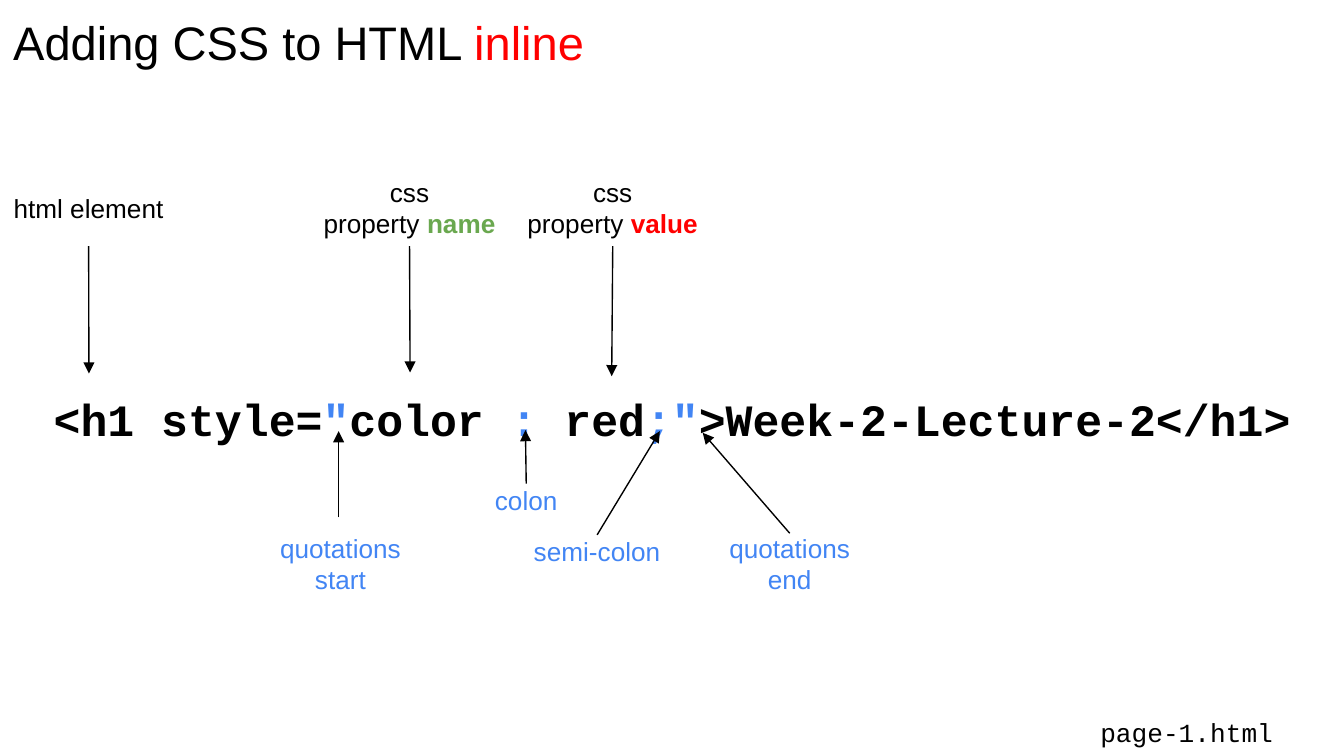
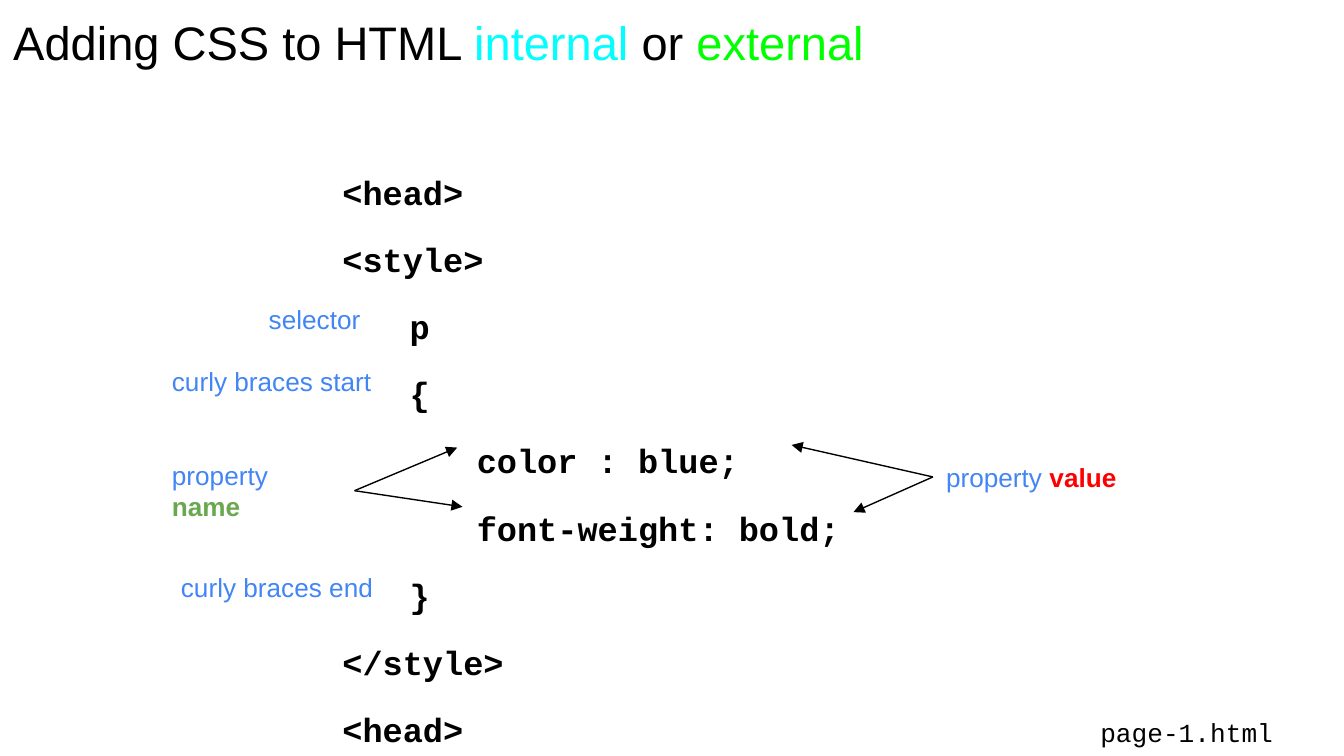
import pptx
import pptx.dml.color
import pptx.enum.shapes
import pptx.enum.text
import pptx.oxml
import pptx.oxml.ns
import pptx.util
from pptx.util import Cm, Pt

ANCHOR = pptx.enum.text.MSO_ANCHOR
ALIGN = pptx.enum.text.PP_ALIGN
TOP, LEFT, BOTTOM, RIGHT = range(4)  # connection sites

# Shared look
BLACK, RED, BLUE, GREEN = "000000", "FF0000", "4285F4", "6AA84F"
CYAN, LIME = "00FFFF", "00FF00"
TITLE = {"name": "Arial", "size": Pt(25.2), "bold": False}
LABEL = {"name": "Arial", "size": Pt(14), "bold": False}
FILE_NAME = {"name": "Courier New", "size": Pt(14), "bold": False}
INLINE_CODE = {"name": "Courier New", "size": Pt(24), "bold": True}
BLOCK_CODE = {"name": "Courier New", "size": Pt(18), "bold": True}
INSET = 0.25

# Regions in centimetres: left, top, width, height
TITLE_BOX = (0, 0, 25.4, 1.6)
CONTENT_BOX = (0, 1.6, 25.4, 12.7)
CODE_BOX = (6.22, 1.6, 12.7, 12.7)
FOOTER_BOX = (19.46, 13.39, 5.94, 0.89)


def colour(value):
    return pptx.dml.color.RGBColor.from_string(value)


def apply(target, values):
    for name, value in values.items():
        setattr(target, name, value)


def place(shape, box):
    apply(shape, dict(zip(("left", "top", "width", "height"), map(Cm, box))))


def within(region, box):
    """Turn a box or point relative to a region into slide lengths."""
    return (region[0] + box[0], region[1] + box[1], *box[2:])


def set_frame(frame, anchor, top_inset=INSET):
    apply(frame, {
        "word_wrap": True,
        "auto_size": pptx.enum.text.MSO_AUTO_SIZE.NONE,
        "vertical_anchor": anchor,
        "margin_left": Cm(INSET), "margin_right": Cm(INSET),
        "margin_top": Cm(top_inset), "margin_bottom": Cm(INSET),
    })


def write(frame, lines, style, align=ALIGN.LEFT):
    """Write lines made of (text, colour[, font changes]) spans."""
    for index, spans in enumerate(lines):
        para = frame.add_paragraph() if index else frame.paragraphs[0]
        para.alignment = align
        for text, hue, *changes in spans:
            span = para.add_run()
            span.text = text
            apply(span.font, {**style, **(changes[0] if changes else {})})
            span.font.color.rgb = colour(hue)


def plain_para(para, indent=0):
    """Remove the bullet and set the left indent in centimetres."""
    props = para._p.get_or_add_pPr()
    props.set("marL", str(Cm(indent)))
    props.set("indent", "0")
    pptx.oxml.ns.qn("a:buNone")
    props.append(pptx.oxml.parse_xml(
        f'<a:buNone {pptx.oxml.ns.nsdecls("a")}/>'))


def add_label(page, region, box, lines, align=ALIGN.CENTER, style=LABEL):
    label = page.shapes.add_textbox(*map(Cm, within(region, box)))
    set_frame(label.text_frame, ANCHOR.MIDDLE)
    write(label.text_frame, lines, style, align)
    return label


def add_arrow(page, region, end, start=(0, 0), source=None, site=BOTTOM):
    """Draw an arrow from a point, or from the side of a label."""
    points = [*within(region, start), *within(region, end)]
    arrow = page.shapes.add_connector(
        pptx.enum.shapes.MSO_CONNECTOR.STRAIGHT, *map(Cm, points))
    if source is not None:
        arrow.begin_connect(source, site)
    arrow.line.width = Pt(0.75)
    arrow.line.color.rgb = colour(BLACK)
    names = pptx.oxml.ns.nsdecls("a")
    arrow.line._get_or_add_ln().append(
        pptx.oxml.parse_xml(f'<a:tailEnd {names} type="triangle"/>'))
    arrow._element.spPr.append(
        pptx.oxml.parse_xml(f"<a:effectLst {names}/>"))


def add_page(deck, title):
    """Start a slide with its title and file name."""
    page = deck.slides.add_slide(deck.slide_layouts[1])
    place(page.shapes.title, TITLE_BOX)
    set_frame(page.shapes.title.text_frame, ANCHOR.TOP)
    write(page.shapes.title.text_frame, [title], TITLE)
    add_label(page, FOOTER_BOX, (0, 0, *FOOTER_BOX[2:]),
              [[("page-1.html", BLACK)]], style=FILE_NAME)
    return page


def add_code(page, box, lines, style, top_inset, spacing, align=ALIGN.LEFT,
             indents=(0,), gap=0):
    body = page.placeholders[1]
    place(body, box)
    set_frame(body.text_frame, ANCHOR.TOP, top_inset)
    write(body.text_frame, lines, style, align)
    for index, para in enumerate(body.text_frame.paragraphs):
        plain_para(para, indents[index])
        apply(para, {"line_spacing": spacing,
                     "space_before": Pt(gap if index else 0)})


def add_inline_page(deck, region):
    page = add_page(deck, [("Adding CSS to HTML ", BLACK), ("inline", RED)])
    code = [("<h1 style=", BLACK), ('"', BLUE), ("color ", BLACK),
            (":", BLUE), (" red", BLACK), (';"', BLUE),
            (">Week-2-Lecture-2</h1>", BLACK)]
    add_code(page, region, [code], INLINE_CODE, 5.65, 1.15, ALIGN.CENTER)

    # Labels above the code
    bold = {"bold": True}
    upper = [
        (0, 3.35, [[("html element", BLACK)]], (1.68, 5.46)),
        (5.82, 3.84, [[("css", BLACK)],
                      [("property ", BLACK), ("name", GREEN, bold)]],
         (7.75, 5.44)),
        (9.66, 3.84, [[("css", BLACK)],
                      [("property ", BLACK), ("value", RED, bold)]],
         (11.56, 5.51)),
    ]
    for left, width, lines, end in upper:
        label = add_label(page, region, (left, 1.6, width, 1.45), lines)
        add_arrow(page, region, end, source=label)

    # Labels below the code
    lower = [
        ("colon", (9.07, 7.54, 1.75, 0.61), (9.93, 6.53)),
        ("semi-colon", (9.8, 8.51, 2.97, 0.61), (12.47, 6.55)),
        ("quotations end", (13.49, 8.48, 2.87, 1.14), (13.28, 6.58)),
    ]
    for text, box, end in lower:
        label = add_label(page, region, box, [[(text, BLUE)]])
        add_arrow(page, region, end, source=label, site=TOP)
    add_label(page, region, (5, 8.48, 2.87, 1.14),
              [[("quotations start", BLUE)]])
    add_arrow(page, region, (6.4, 6.55), start=(6.4, 8.18))


def add_block_page(deck, region):
    page = add_page(deck, [("Adding CSS to HTML ", BLACK),
                           ("internal ", CYAN), ("or ", BLACK),
                           ("external", LIME)])
    code = [("<head>", 0), ("<style>", 0), ("p", 1), ("{", 1),
            ("color : blue;", 2), ("font-weight: bold;", 2), ("}", 1),
            ("</style>", 0), ("<head>", 0)]
    add_code(page, CODE_BOX, [[(text, BLACK)] for text, _ in code],
             BLOCK_CODE, 1.61, 1.05, gap=13.3,
             indents=[1.27 * level for _, level in code])

    # Labels for the selector and braces
    for text, box in [("selector", (4.83, 3.56, 2.39, 1.73)),
                      ("curly braces start", (3, 4.9, 4.52, 1.42)),
                      ("curly braces end", (3.17, 8.64, 4.34, 1.73))]:
        add_label(page, region, box, [[(text, BLUE)]], ALIGN.LEFT)

    # Property labels, each pointing at both declarations
    properties = [
        ("name", GREEN, (3, 6.81, 3.7, 1.73), RIGHT,
         [(8.64, 6.86), (8.74, 7.98)]),
        ("value", RED, (17.63, 6.55, 3.76, 1.73), LEFT,
         [(14.96, 6.81), (16.13, 8.08)]),
    ]
    for word, hue, box, site, ends in properties:
        spans = [("property ", BLUE), (word, hue, {"bold": True})]
        label = add_label(page, region, box, [spans], ALIGN.LEFT)
        for end in ends:
            add_arrow(page, region, end, source=label, site=site)


def main():
    deck = pptx.Presentation()
    apply(deck, {"slide_width": Cm(25.4), "slide_height": Cm(14.29)})
    add_inline_page(deck, CONTENT_BOX)
    add_block_page(deck, CONTENT_BOX)
    deck.save("out.pptx")


if __name__ == "__main__":
    main()
